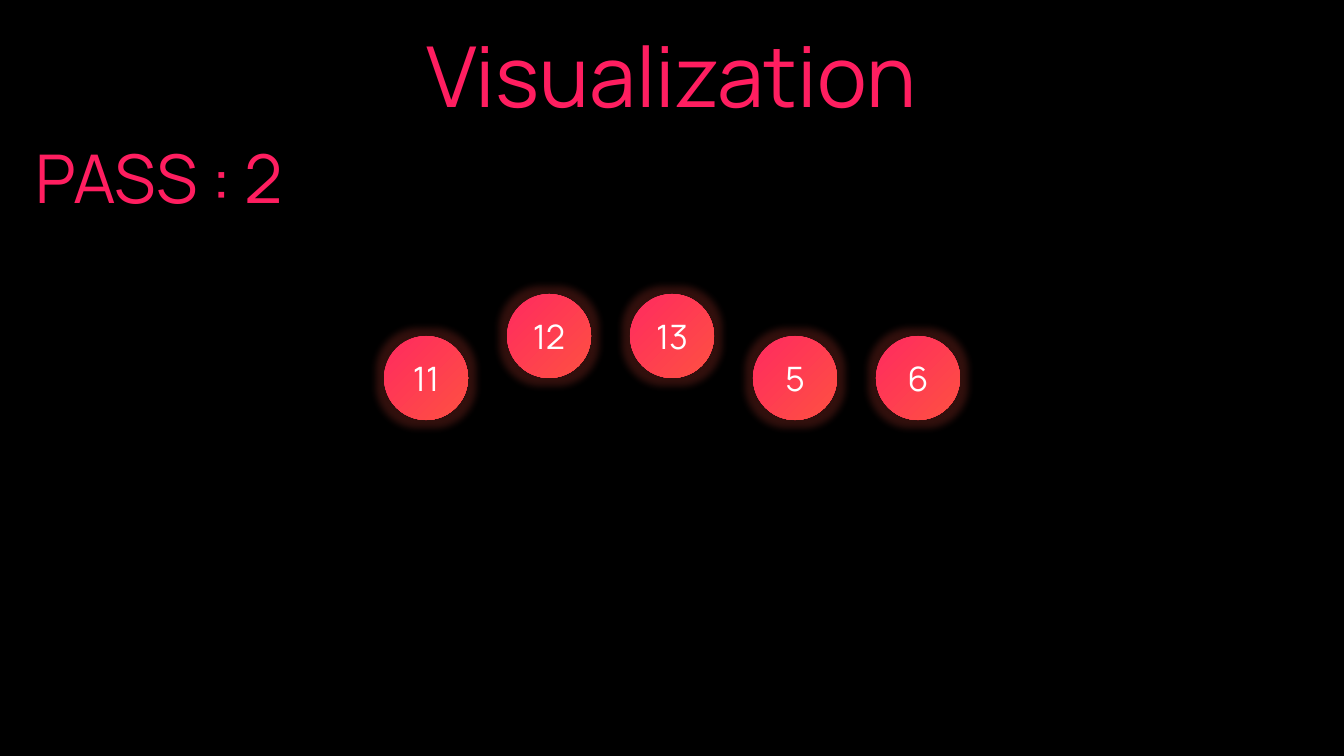
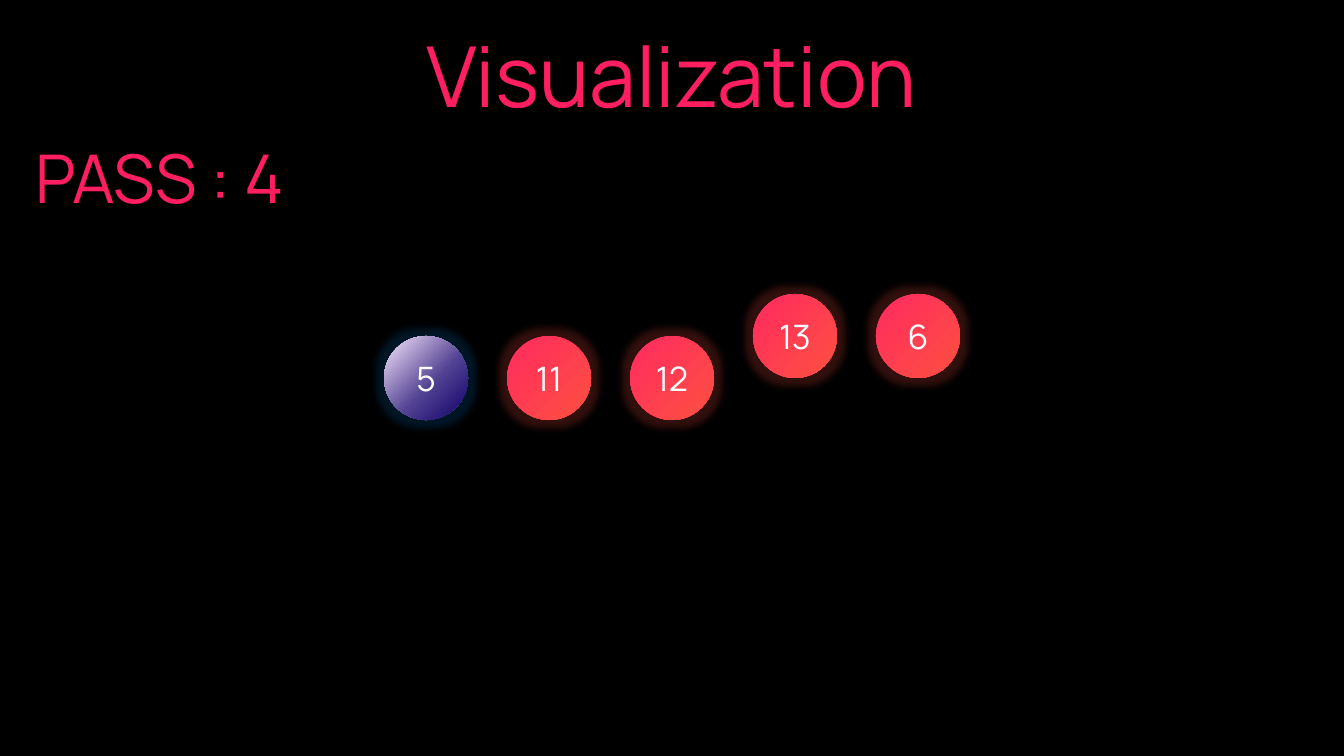
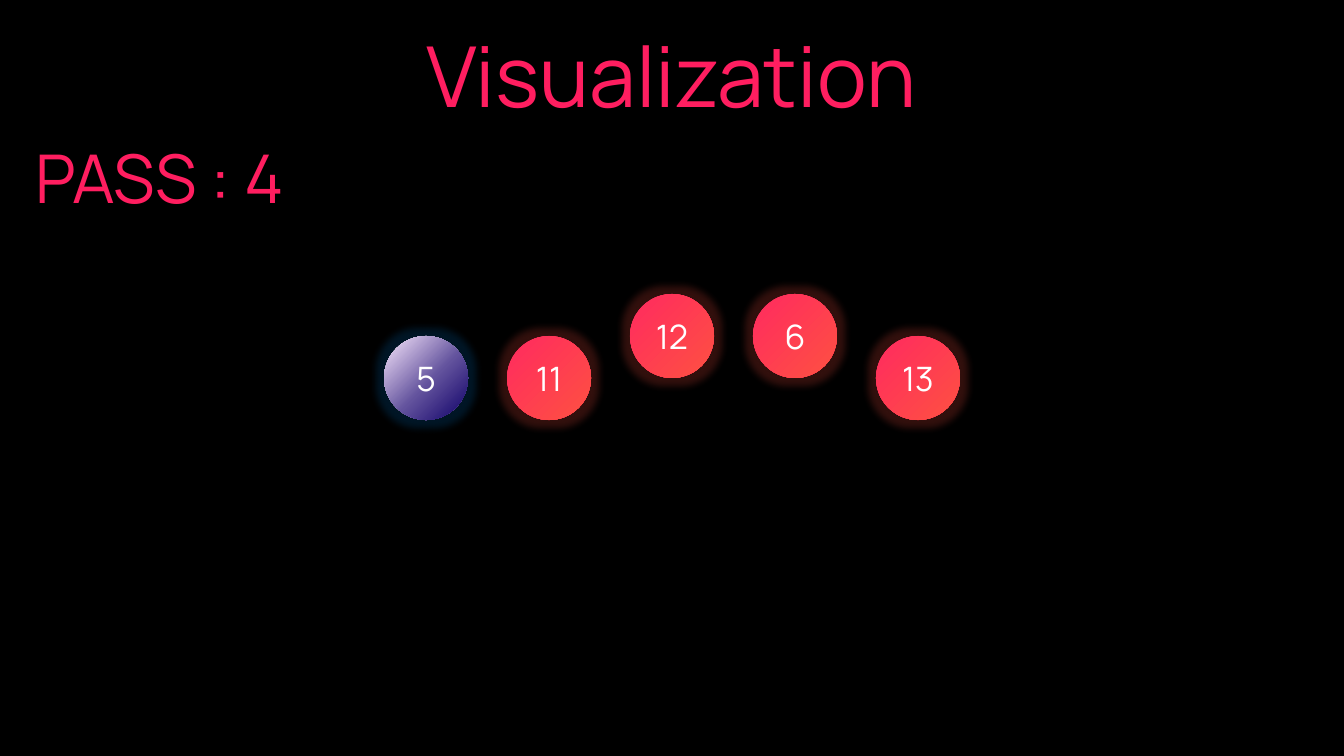
from lxml.etree import SubElement
from pptx import Presentation
from pptx.dml.color import RGBColor
from pptx.enum.shapes import MSO_SHAPE
from pptx.enum.text import MSO_ANCHOR, PP_ALIGN
from pptx.oxml.ns import qn
from pptx.util import Pt

BLACK = RGBColor(0x00, 0x00, 0x00)
WHITE = RGBColor(0xFF, 0xFF, 0xFF)
CORAL = RGBColor(0xFE, 0x51, 0x42)
BLUE = RGBColor(0x00, 0x70, 0xC0)
LILAC = RGBColor(0xFC, 0xEA, 0xFF)
INDIGO = RGBColor(0x0F, 0x00, 0x68)

HEADING_STOPS = [(0, RGBColor(0xFF, 0x1E, 0x60)), (100, RGBColor(0xFE, 0x51, 0x40))]
UNSORTED_STOPS = [(0, RGBColor(0xFF, 0x2A, 0x5F)), (100, CORAL)]
SORTED_STOPS = [(0, LILAC), (57, RGBColor(0x52, 0x42, 0x93)), (100, INDIGO)]
SETTLED_STOPS = [(0, LILAC), (55, RGBColor(0x62, 0x52, 0x9D)), (100, INDIGO)]

FONT = "Manrope"
PAGE_WIDTH, PAGE_HEIGHT = 960, 540
BALL_SIZE, BALL_STEP, BALL_LIFT = 60, 87.84, 30
GLOW_RADIUS, GLOW_OPACITY = 11, 20

PASSES = [
    (2, [11, 12, 13, 5, 6], {12, 13}, {}),
    (4, [5, 11, 12, 13, 6], {13, 6}, {5: SORTED_STOPS}),
    (4, [5, 11, 12, 6, 13], {12, 6}, {5: SETTLED_STOPS}),
]


def add_color(parent, color, opacity=None):
    """Append a colour, with an optional opacity in percent."""
    node = SubElement(parent, qn("a:srgbClr"), val=str(color))
    if opacity is not None:
        SubElement(node, qn("a:alpha"), val=str(opacity * 1000))


def set_gradient(fill, properties, stops, radial=False):
    """Fill with the stops, along the diagonal or out from the lower left corner."""
    fill.gradient()
    gradient = properties.find(qn("a:gradFill"))
    gradient.clear()
    stop_list = SubElement(gradient, qn("a:gsLst"))
    for position, color in stops:
        add_color(SubElement(stop_list, qn("a:gs"), pos=str(position * 1000)), color)
    if radial:
        route = SubElement(gradient, qn("a:path"), path="circle")
        SubElement(route, qn("a:fillToRect"), t="100000", r="100000")
    else:
        SubElement(gradient, qn("a:lin"), ang=str(45 * 60000), scaled="0")


def write(box, text, size, color=None, stops=None, anchor=MSO_ANCHOR.TOP):
    """Write one centred line in a plain colour or a gradient."""
    frame = box.text_frame
    frame.word_wrap = False
    frame.vertical_anchor = anchor
    para = frame.paragraphs[0]
    para.alignment = PP_ALIGN.CENTER
    span = para.add_run()
    span.text = text
    span.font.name = FONT
    span.font.size = Pt(size)
    if stops:
        set_gradient(span.font.fill, span._r.get_or_add_rPr(), stops, radial=True)
    else:
        span.font.color.rgb = color


def add_title(page, left, top, width, height):
    """Place the slide title."""
    title = page.shapes.title
    title.left, title.top, title.width, title.height = map(Pt, (left, top, width, height))
    write(title, "Visualization", 60, stops=HEADING_STOPS)


def add_pass_label(page, number, left, top, width, height):
    """Place the label that counts the passes."""
    box = page.shapes.add_textbox(Pt(left), Pt(top), Pt(width), Pt(height))
    write(box, f"PASS : {number}", 48, stops=HEADING_STOPS)


def add_ball(page, value, left, top, stops, glow_color):
    """Draw one glowing ball with its value."""
    ball = page.shapes.add_shape(
        MSO_SHAPE.OVAL, Pt(left), Pt(top), Pt(BALL_SIZE), Pt(BALL_SIZE))
    ball.shadow.inherit = False
    ball.line.fill.background()
    properties = ball.element.spPr
    set_gradient(ball.fill, properties, stops)
    effects = properties.find(qn("a:effectLst"))
    glow = SubElement(effects, qn("a:glow"), rad=str(Pt(GLOW_RADIUS)))
    add_color(glow, glow_color, GLOW_OPACITY)
    write(ball, str(value), 24, color=WHITE, anchor=MSO_ANCHOR.MIDDLE)


def add_ball_row(page, values, lifted, placed, left, top):
    """Draw the row of balls, raising the compared pair."""
    for index, value in enumerate(values):
        add_ball(page, value, left + index * BALL_STEP,
                 top - BALL_LIFT * (value in lifted),
                 placed.get(value, UNSORTED_STOPS),
                 BLUE if value in placed else CORAL)


def add_pass_slide(deck, number, values, lifted, placed):
    """Build the slide of one sorting step."""
    page = deck.slides.add_slide(deck.slide_layouts[5])
    row_width = (len(values) - 1) * BALL_STEP + BALL_SIZE
    row_left = (PAGE_WIDTH - row_width) / 2
    add_title(page, row_left, 13.5, row_width, 80)
    add_ball_row(page, values, lifted, placed, row_left, PAGE_HEIGHT / 2 - BALL_LIFT)
    add_pass_label(page, number, 12, 93.5, 204, 65.5)


def main():
    """Build and save the deck."""
    deck = Presentation()
    deck.slide_width, deck.slide_height = Pt(PAGE_WIDTH), Pt(PAGE_HEIGHT)
    background = deck.slide_master.background.fill
    background.solid()
    background.fore_color.rgb = BLACK
    for step in PASSES:
        add_pass_slide(deck, *step)
    deck.save("out.pptx")


if __name__ == "__main__":
    main()
